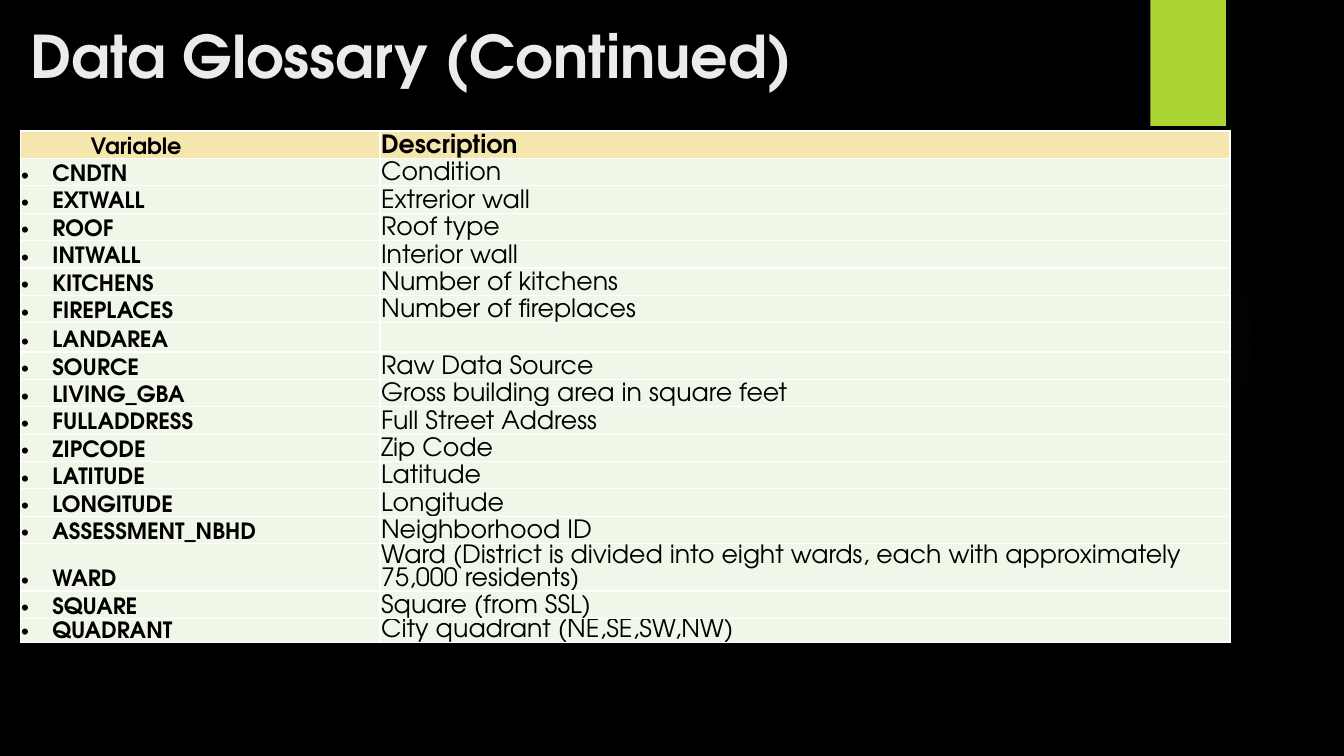
"""Build the second data glossary slide: a title and a table of variables."""
from pptx import Presentation
from pptx.dml.color import RGBColor as Rgb
from pptx.enum.shapes import MSO_SHAPE as Kind
from pptx.enum.text import MSO_ANCHOR as Anchor, MSO_AUTO_SIZE as Fit, PP_ALIGN as Align
from pptx.oxml import parse_xml
from pptx.oxml.ns import nsdecls
from pptx.util import Inches as In, Pt

HUE = {"back": "000000", "bar": "ACD433", "glow": "7AC4F0", "title": "EBEBEB",
       "ink": "000000", "head": "F5E6AD", "body": "F1F7E8", "rule": "FFFFFF"}
FONT = "TeX Gyre Adventor"
LEFT, TOP, STEP = 0.2, 1.3, 4.08 / 15
COLS = [3.57, 8.43]
ROWS = [
    ("Variable", "Description"),
    ("CNDTN", "Condition"),
    ("EXTWALL", "Extrerior wall"),
    ("ROOF", "Roof type"),
    ("INTWALL", "Interior wall"),
    ("KITCHENS", "Number of kitchens"),
    ("FIREPLACES", "Number of fireplaces"),
    ("LANDAREA", ""),
    ("SOURCE", "Raw Data Source"),
    ("LIVING_GBA", "Gross building area in square feet"),
    ("FULLADDRESS", "Full Street Address"),
    ("ZIPCODE", "Zip Code"),
    ("LATITUDE", "Latitude"),
    ("LONGITUDE", "Longitude"),
    ("ASSESSMENT_NBHD", "Neighborhood ID"),
    ("WARD", "Ward (District is divided into eight wards, each with "
             "approximately 75,000 residents)"),
    ("SQUARE", "Square (from SSL)"),
    ("QUADRANT", "City quadrant (NE,SE,SW,NW)"),
]
TALL = {"WARD": 0.47, "QUADRANT": 0.24}


def write(frame, text, size, hue="ink", bold=False, lead=None, dent=0, mark=False):
    para = frame.paragraphs[0]
    para.alignment = Align.LEFT
    if lead:
        para.line_spacing = Pt(lead)
    run = para.add_run()
    run.text = text
    font = run.font
    font.name, font.size, font.bold = FONT, Pt(size), bold
    font.color.rgb = Rgb.from_string(HUE[hue])
    prop = para._p.get_or_add_pPr()
    if dent:
        prop.set("marL", str(In(dent)))
        prop.set("indent", str(-In(dent) if mark else 0))
    if mark:
        prop.append(parse_xml(f'<a:buFont {nsdecls("a")} typeface="Arial"/>'))
        prop.append(parse_xml(f'<a:buChar {nsdecls("a")} char="•"/>'))


deck = Presentation()
deck.slide_width, deck.slide_height = In(13.33), In(7.5)
slide = deck.slides.add_slide(deck.slide_layouts[5])
back = slide.background.fill
back.solid()
back.fore_color.rgb = Rgb.from_string(HUE["back"])

title = slide.shapes.title
title.left, title.top, title.width, title.height = In(LEFT), In(0.15), In(11.5), In(1.45)
frame = title.text_frame
frame.word_wrap, frame.auto_size, frame.vertical_anchor = True, Fit.NONE, Anchor.TOP
write(frame, "Data Glossary (Continued)", 42, hue="title", bold=True)

halo = slide.shapes.add_shape(Kind.OVAL, In(9.41), In(1.83), In(3.08), In(3.08))
bar = slide.shapes.add_shape(Kind.RECTANGLE, In(11.41), 0, In(0.75), In(1.25))
for shape in (halo, bar):
    shape.shadow.inherit = False
    shape.line.fill.background()
    shape.fill.solid()
    shape.fill.fore_color.rgb = Rgb.from_string(HUE["bar"])
    title._element.addprevious(shape._element)

stops = "".join(
    f'<a:gs pos="{pos}000"><a:srgbClr val="{HUE["glow"]}">'
    f'<a:alpha val="{alpha}000"/></a:srgbClr></a:gs>'
    for pos, alpha in ((0, 7), (36, 6), (69, 0), (100, 0)))
glow = parse_xml(
    f'<a:gradFill {nsdecls("a")}><a:gsLst>{stops}</a:gsLst><a:path path="circle">'
    '<a:fillToRect l="50000" t="50000" r="50000" b="50000"/></a:path></a:gradFill>')
solid = halo._element.spPr.find("{*}solidFill")
solid.getparent().replace(solid, glow)

high = [TALL.get(row[0], STEP) for row in ROWS]
table = slide.shapes.add_table(len(ROWS), len(COLS), In(LEFT), In(TOP),
                               In(sum(COLS)), In(sum(high))).table
table.horz_banding = False
for col, wide in zip(table.columns, COLS):
    col.width = In(wide)
for r, row in enumerate(ROWS):
    table.rows[r].height = In(high[r])
    for c, text in enumerate(row):
        cell = table.cell(r, c)
        cell.vertical_anchor = Anchor.BOTTOM
        cell.margin_left = cell.margin_right = cell.margin_top = In(0.01)
        cell.margin_bottom = 0
        cell.fill.solid()
        cell.fill.fore_color.rgb = Rgb.from_string(HUE["body" if r else "head"])
        name = c == 0
        write(cell.text_frame, text, 16 if name else 18, bold=name or r == 0,
              lead=14.6 if name else 16.4, mark=name and r > 0,
              dent=(0.31 if r else 0.69) if name else 0)
        for spot, side in enumerate("LRTB"):
            cell._tc.tcPr.insert(spot, parse_xml(
                f'<a:ln{side} {nsdecls("a")} w="{Pt(1)}"><a:solidFill>'
                f'<a:srgbClr val="{HUE["rule"]}"/></a:solidFill></a:ln{side}>'))

deck.save("out.pptx")
